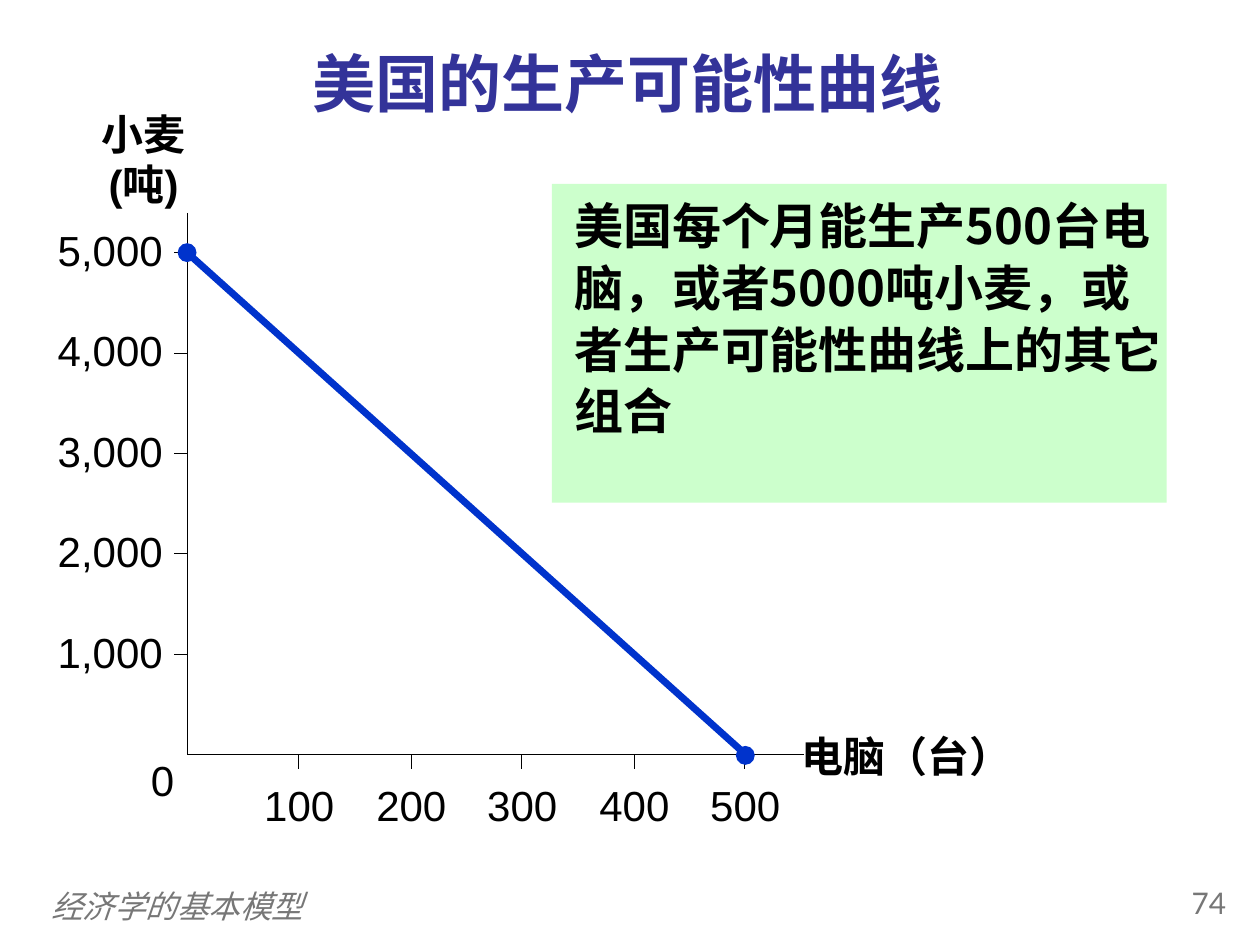
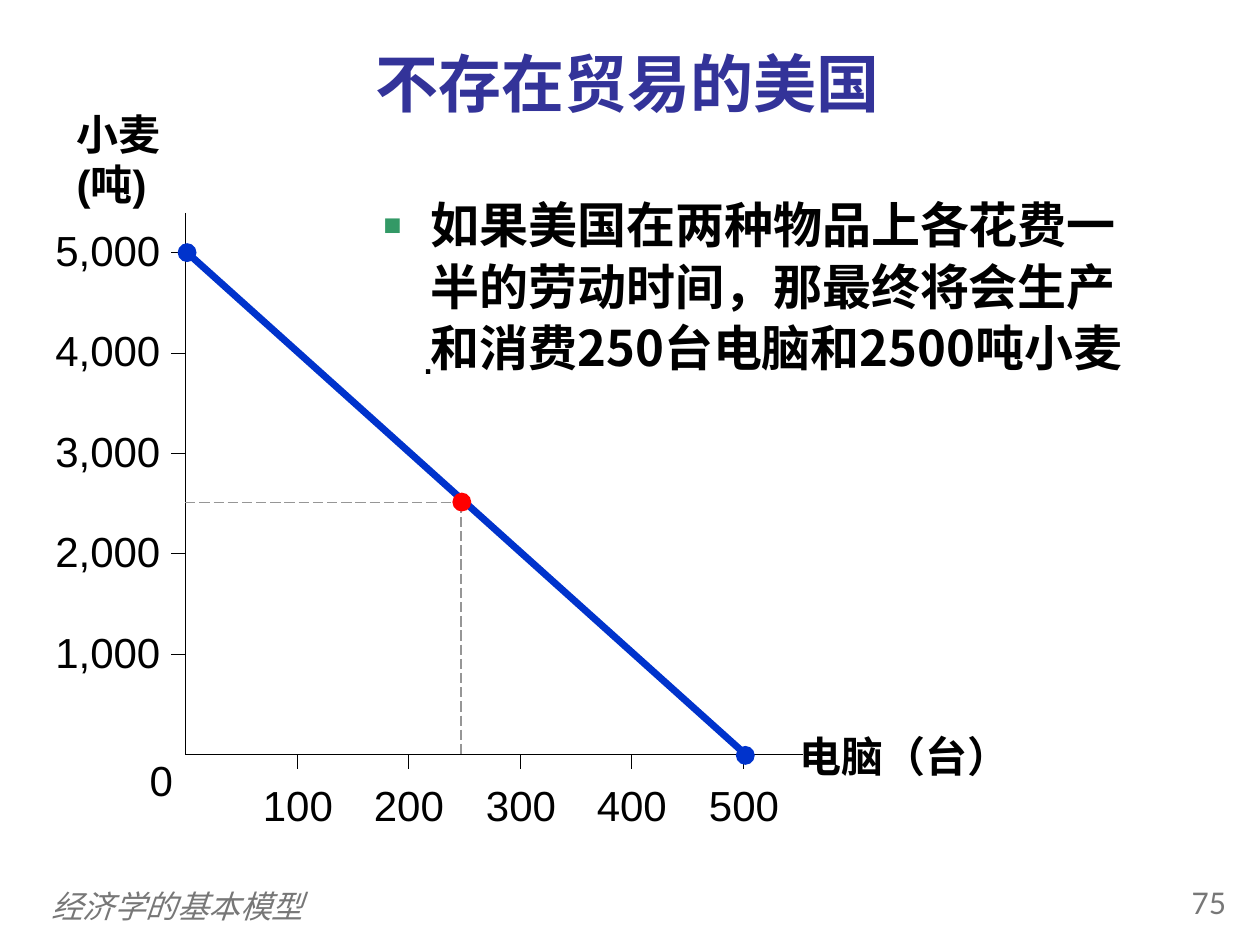
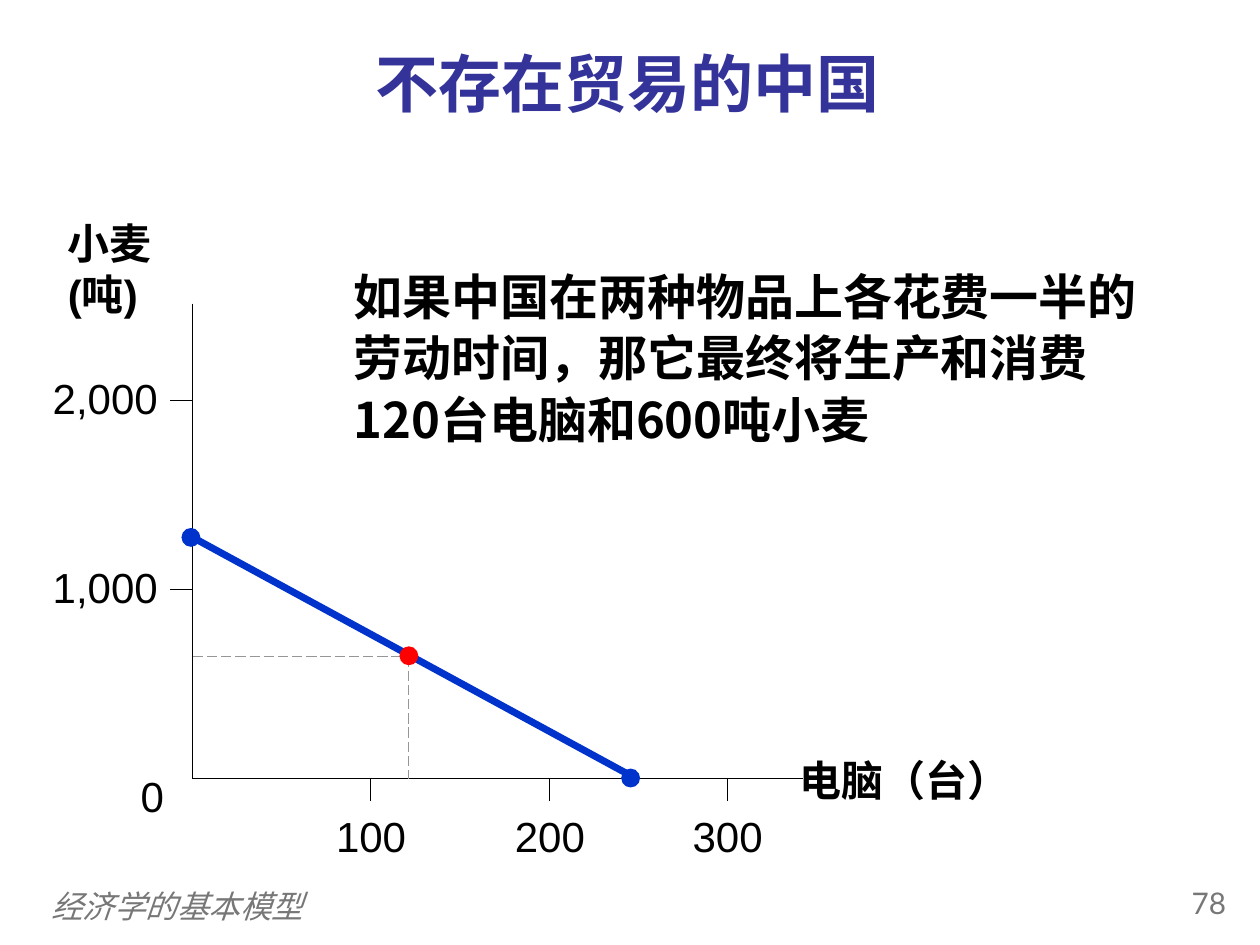
from dataclasses import dataclass

from lxml.etree import SubElement
from pptx import Presentation
from pptx.dml.color import RGBColor
from pptx.enum.dml import MSO_LINE
from pptx.enum.shapes import MSO_CONNECTOR, MSO_SHAPE
from pptx.enum.text import MSO_ANCHOR, PP_ALIGN
from pptx.oxml.ns import qn
from pptx.util import Emu, Pt

PX = 9144  # 100 px to the inch
COLORS = {
    "title": "333399",
    "text": "000000",
    "footer": "777777",
    "frontier": "0033CC",
    "choice": "FF0000",
    "guide": "969696",
    "panel": "CCFFCC",
    "bullet": "339966",
}
CJK_FONT = "Noto Sans CJK SC"
FOOTER = "经济学的基本模型"
X_NAME = "电脑（台）"
Y_NAME = "小麦 (吨)"
DOT = 15
LABEL_HEIGHT = 50
Y_LABEL_WIDTH = 105
X_LABEL_WIDTH = 81
ZERO_WIDTH = 46


@dataclass(frozen=True)
class Style:
    size: int
    font: str = "Arial"
    color: str = "text"
    bold: bool = False
    italic: bool = False
    align: PP_ALIGN = PP_ALIGN.LEFT
    anchor: MSO_ANCHOR = MSO_ANCHOR.TOP
    spacing: float = 1.0
    bullet_indent: int = 0


TITLE = Style(36, "TeX Gyre Pagella", "title", bold=True,
              align=PP_ALIGN.CENTER, anchor=MSO_ANCHOR.MIDDLE)
FOOTER_STYLE = Style(18, color="footer", italic=True, anchor=MSO_ANCHOR.MIDDLE)
NUMBER = Style(17, "Lato", "footer", align=PP_ALIGN.RIGHT)
X_LABEL = Style(24, align=PP_ALIGN.CENTER)
Y_LABEL = Style(24)
AXIS_NAME = Style(24, bold=True)
AXIS_NAME_CENTERED = Style(24, bold=True, align=PP_ALIGN.CENTER)
NOTE = Style(28, CJK_FONT, bold=True, spacing=1.05)
NOTE_BULLET = Style(28, CJK_FONT, bold=True, spacing=1.05, bullet_indent=38)
PERIOD = Style(26, spacing=1.05)


@dataclass(frozen=True)
class Box:
    left: int
    top: int
    width: int
    height: int


@dataclass(frozen=True)
class Note:
    text: str
    box: Box
    style: Style = NOTE
    panel: Box | None = None


@dataclass(frozen=True)
class Graph:
    """Axes with evenly spaced ticks, and the frontier drawn on them."""
    origin: tuple[int, int]
    axis_end: tuple[int, int]
    tick_count: tuple[int, int]
    tick_span: tuple[int, int]
    tick_length: int
    y_label_offset: int
    x_label_offset: int
    zero_center: tuple[int, int]
    y_name_corner: tuple[int, int]
    frontier: tuple[int, int, int, int]
    end_dots: tuple[tuple[int, int], ...]
    y_name_style: Style = AXIS_NAME
    choice: tuple[int, int] | None = None


@dataclass(frozen=True)
class Page:
    title: str
    number: int
    graph: Graph
    notes: tuple[Note, ...]


def rgb(name: str) -> RGBColor:
    return RGBColor.from_string(COLORS[name])


def emu(*lengths: int) -> list[Emu]:
    return [Emu(length * PX) for length in lengths]


def add_bullet(paragraph, indent: int) -> None:
    properties = paragraph._p.get_or_add_pPr()
    properties.set("marL", str(indent * PX))
    properties.set("indent", str(-indent * PX))
    color = SubElement(properties, qn("a:buClr"))
    SubElement(color, qn("a:srgbClr"), val=COLORS["bullet"])
    SubElement(properties, qn("a:buSzPct"), val="120000")
    SubElement(properties, qn("a:buFont"), typeface="Arial")
    SubElement(properties, qn("a:buChar"), char="▪")


def add_text(slide, text: str, box: Box, style: Style) -> None:
    frame = slide.shapes.add_textbox(
        *emu(box.left, box.top, box.width, box.height)).text_frame
    frame.word_wrap = True
    frame.vertical_anchor = style.anchor
    frame.text = text
    paragraph = frame.paragraphs[0]
    if style.bullet_indent:
        add_bullet(paragraph, style.bullet_indent)
    paragraph.alignment = style.align
    paragraph.line_spacing = style.spacing
    span = paragraph.runs[0]
    span.font.size = Pt(style.size)
    span.font.name = style.font
    span.font.bold = style.bold
    span.font.italic = style.italic
    span.font.color.rgb = rgb(style.color)
    SubElement(span._r.get_or_add_rPr(), qn("a:ea"), typeface=CJK_FONT)


def add_line(slide, ends: tuple[int, int, int, int], color: str,
             width: float, dashed: bool = False) -> None:
    line = slide.shapes.add_connector(MSO_CONNECTOR.STRAIGHT, *emu(*ends))
    line.line.color.rgb = rgb(color)
    line.line.width = Pt(width)
    if dashed:
        line.line.dash_style = MSO_LINE.LONG_DASH
    SubElement(line._element.spPr, qn("a:effectLst"))


def add_filled(slide, preset: MSO_SHAPE, box: Box, color: str) -> None:
    shape = slide.shapes.add_shape(
        preset, *emu(box.left, box.top, box.width, box.height))
    shape.shadow.inherit = False
    shape.fill.solid()
    shape.fill.fore_color.rgb = rgb(color)
    shape.line.fill.background()


def add_dot(slide, left: int, top: int, color: str) -> None:
    add_filled(slide, MSO_SHAPE.OVAL, Box(left, top, DOT, DOT), color)


def draw_axes(slide, graph: Graph) -> None:
    x0, y0 = graph.origin
    x_end, y_end = graph.axis_end
    add_line(slide, (x0, y_end, x0, y0), "text", 0.75)
    add_line(slide, (x0, y0, x_end, y0), "text", 0.75)

    x_count, y_count = graph.tick_count
    x_span, y_span = graph.tick_span
    for step in range(1, x_count + 1):
        x = x0 + round(x_span * step / x_count)
        add_line(slide, (x, y0 + graph.tick_length, x, y0), "text", 0.25)
        add_text(slide, str(step * 100),
                 Box(x - X_LABEL_WIDTH // 2, y0 + graph.x_label_offset,
                     X_LABEL_WIDTH, LABEL_HEIGHT), X_LABEL)
    for step in range(1, y_count + 1):
        y = y0 - round(y_span * step / y_count)
        add_line(slide, (x0, y, x0 - graph.tick_length, y), "text", 0.25)
        add_text(slide, f"{step * 1000:,}",
                 Box(x0 - graph.y_label_offset, y - 27,
                     Y_LABEL_WIDTH, LABEL_HEIGHT), Y_LABEL)

    zero_x, zero_top = graph.zero_center
    add_text(slide, "0", Box(zero_x - ZERO_WIDTH // 2, zero_top,
                             ZERO_WIDTH, LABEL_HEIGHT), X_LABEL)
    add_text(slide, X_NAME, Box(x_end - 12, y0 - 24, 210, LABEL_HEIGHT), AXIS_NAME)
    add_text(slide, Y_NAME, Box(*graph.y_name_corner, 122, 90), graph.y_name_style)


def draw_frontier(slide, graph: Graph) -> None:
    add_line(slide, graph.frontier, "frontier", 4)
    for left, top in graph.end_dots:
        add_dot(slide, left, top, "frontier")
    if graph.choice:
        x0, y0 = graph.origin
        x, y = graph.choice
        add_line(slide, (x0, y, x, y), "guide", 0.75, dashed=True)
        add_line(slide, (x, y, x, y0), "guide", 0.75, dashed=True)
        add_dot(slide, x - 7, y - 8, "choice")


def draw_page(deck, page: Page) -> None:
    slide = deck.slides.add_slide(deck.slide_layouts[6])
    add_text(slide, FOOTER, Box(31, 699, 802, 40), FOOTER_STYLE)
    add_text(slide, str(page.number), Box(908, 697, 75, 40), NUMBER)
    draw_axes(slide, page.graph)
    add_text(slide, page.title, Box(38, 28, 920, 74), TITLE)
    for note in page.notes:
        if note.panel:
            add_filled(slide, MSO_SHAPE.RECTANGLE, note.panel, "panel")
        add_text(slide, note.text, note.box, note.style)
    draw_frontier(slide, page.graph)


US_FRONTIER = (148, 200, 592, 599)
US_DOTS = ((141, 193), (584, 592))

PAGES = (
    Page(
        "美国的生产可能性曲线", 74,
        Graph(
            origin=(149, 599), axis_end=(638, 169),
            tick_count=(5, 5), tick_span=(442, 399), tick_length=11,
            y_label_offset=113, x_label_offset=15,
            zero_center=(129, 594), y_name_corner=(53, 81),
            frontier=US_FRONTIER, end_dots=US_DOTS,
            y_name_style=AXIS_NAME_CENTERED,
        ),
        (Note("美国每个月能生产500台电脑，或者5000吨小麦，"
              "或者生产可能性曲线上的其它组合",
              Box(446, 148, 493, 205), panel=Box(438, 146, 488, 253)),),
    ),
    Page(
        "不存在贸易的美国", 75,
        Graph(
            origin=(147, 599), axis_end=(637, 169),
            tick_count=(5, 5), tick_span=(443, 399), tick_length=11,
            y_label_offset=113, x_label_offset=15,
            zero_center=(128, 594), y_name_corner=(51, 81),
            frontier=US_FRONTIER, end_dots=US_DOTS, choice=(366, 399),
        ),
        (Note("如果美国在两种物品上各花费一半的劳动时间，"
              "那最终将会生产和消费250台电脑和2500吨小麦",
              Box(294, 147, 618, 157), NOTE_BULLET),
         Note(".", Box(325, 254, 564, 56), PERIOD)),
    ),
    Page(
        "不存在贸易的中国", 78,
        Graph(
            origin=(153, 618), axis_end=(637, 241),
            tick_count=(3, 2), tick_span=(424, 300), tick_length=18,
            y_label_offset=121, x_label_offset=20,
            zero_center=(121, 607), y_name_corner=(44, 168),
            frontier=(152, 426, 505, 618), end_dots=((144, 419), (493, 610)),
            choice=(324, 521),
        ),
        (Note("如果中国在两种物品上各花费一半的劳动时间，"
              "那它最终将生产和消费120台电脑和600吨小麦",
              Box(271, 204, 662, 159)),),
    ),
)


def main() -> None:
    deck = Presentation()
    deck.slide_width, deck.slide_height = emu(1000, 750)
    for page in PAGES:
        draw_page(deck, page)
    deck.save("out.pptx")


if __name__ == "__main__":
    main()
